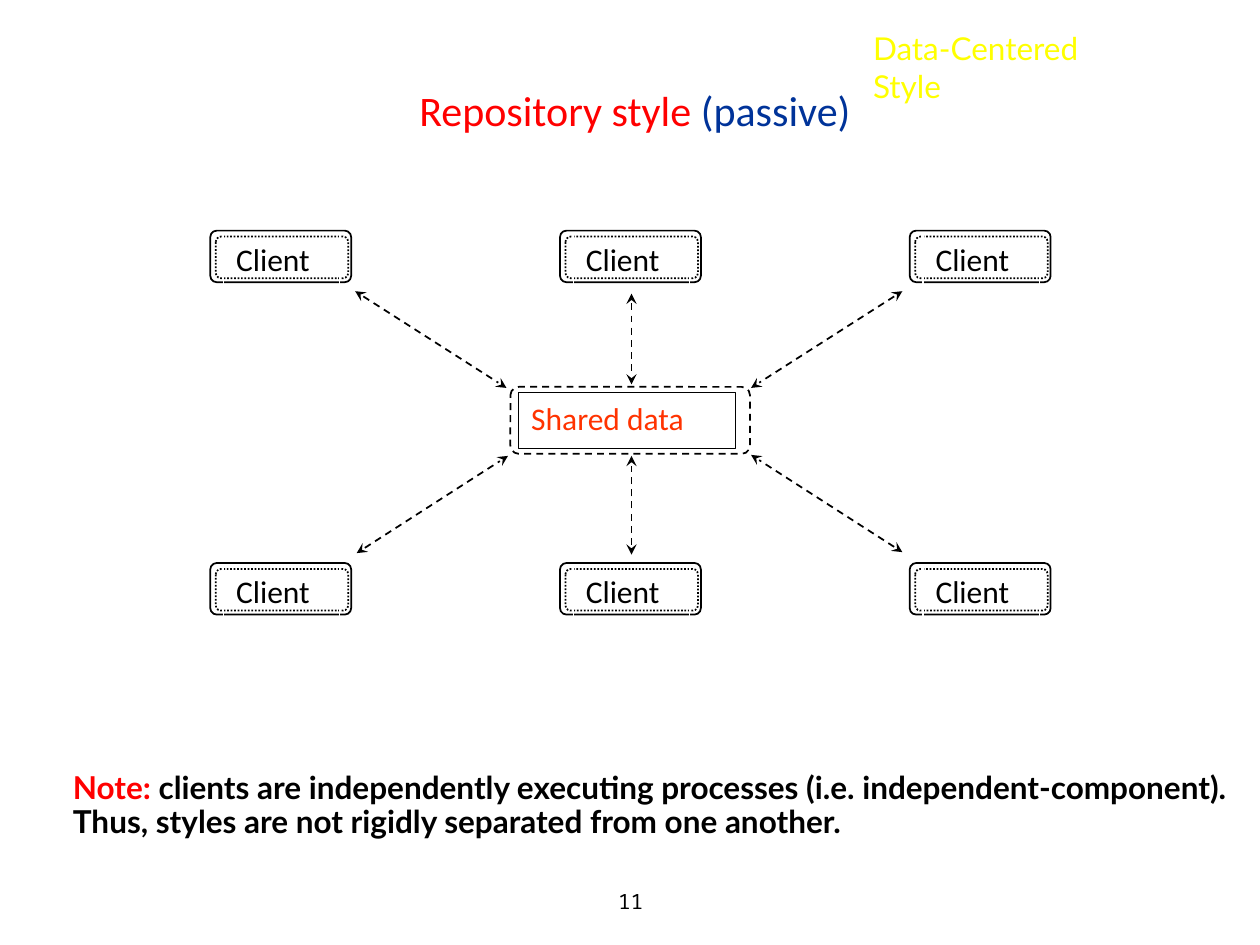
from itertools import product

from lxml import etree
from pptx import Presentation
from pptx import util as u
from pptx.dml.color import RGBColor
from pptx.enum import dml, shapes, text
from pptx.oxml.ns import qn

BLACK, WHITE, RED = "000000", "FFFFFF", "FF0000"
ROUND = shapes.MSO_SHAPE.ROUNDED_RECTANGLE
RECT = shapes.MSO_SHAPE.RECTANGLE
DASH, DOT = dml.MSO_LINE.DASH, dml.MSO_LINE.ROUND_DOT

# All positions and sizes are in centimetres: left, top, width, height
TITLE = [("Repository style ", RED), ("(passive)", "003399")]
TOPIC = [("Data-Centered Style", "FFFF00")]
NOTE = [
    ("Note: ", RED),
    ("clients are independently executing processes (i.e. independent-component). "
     "Thus, styles are not rigidly separated from one another.", BLACK),
]
CLIENT_LEFT, CLIENT_PITCH, CLIENT_COLUMNS = 4.24, 7.05, 3
CLIENT_TOPS = [4.65, 11.35]
ARROWS = [
    ((7.16, 5.87), (10.21, 7.82)),
    ((12.73, 5.92), (12.73, 7.75)),
    ((18.19, 5.87), (15.14, 7.82)),
    ((7.19, 11.15), (10.24, 9.19)),
    ((12.73, 11.18), (12.73, 9.19)),
    ((18.19, 11.13), (15.14, 9.17)),
]

deck = Presentation()
deck.slide_width, deck.slide_height = u.Cm(25.4), u.Cm(19.05)
page = deck.slides.add_slide(deck.slide_layouts[6])


def color(value):
    return RGBColor.from_string(value)


def write(box, spans, size=18, font="Calibri", bold=False, spacing=None,
          align=text.PP_ALIGN.LEFT, anchor=text.MSO_ANCHOR.TOP, margins=(0.25, 0.13)):
    """Fill a shape with one paragraph of (text, colour) spans."""
    frame = box.text_frame
    frame.word_wrap = True
    frame.vertical_anchor = anchor
    frame.margin_left = frame.margin_right = u.Cm(margins[0])
    frame.margin_top = frame.margin_bottom = u.Cm(margins[1])
    para = frame.paragraphs[0]
    para.alignment = align
    if spacing:
        para.line_spacing = spacing
    for words, ink in spans:
        span = para.add_run()
        span.text = words
        span.font.size, span.font.name, span.font.bold = u.Pt(size), font, bold
        span.font.color.rgb = color(ink)


def add_text(area, spans, **style):
    write(page.shapes.add_textbox(*map(u.Cm, area)), spans, **style)


def add_outline(kind, area, ink=BLACK, width=1, dash=None):
    box = page.shapes.add_shape(kind, *map(u.Cm, area))
    box.shadow.inherit = False
    box.fill.background()
    box.line.color.rgb = color(ink)
    box.line.width = u.Pt(width)
    if dash:
        box.line.dash_style = dash
    if kind == ROUND:
        box.adjustments[0] = 0.125
    return box


def add_client(left, top):
    add_outline(ROUND, (left, top, 2.84, 1.04))
    add_outline(ROUND, (left + 0.11, top + 0.12, 2.67, 0.84), dash=DOT)
    label = add_outline(RECT, (left + 0.27, top + 0.05, 2.34, 1.12), WHITE, 0.75)
    write(label, [("Client", BLACK)])


def add_two_way_arrow(start, end):
    arrow = page.shapes.add_connector(
        shapes.MSO_CONNECTOR.STRAIGHT, *map(u.Cm, start + end))
    arrow.line.color.rgb = color(BLACK)
    arrow.line.width = u.Pt(1)
    arrow.line.dash_style = DASH
    outline = arrow.line._get_or_add_ln()
    for tip in ("a:headEnd", "a:tailEnd"):
        etree.SubElement(outline, qn(tip), type="stealth")
    etree.SubElement(arrow._element.spPr, qn("a:effectLst"))


add_text((8.69, 17.65, 8.05, 1.02), [("11", BLACK)], size=12, font="Noto Sans Mono",
         align=text.PP_ALIGN.CENTER, anchor=text.MSO_ANCHOR.MIDDLE)
add_text((1.27, 1.7, 23.06, 2.34), TITLE, size=24,
         align=text.PP_ALIGN.CENTER, margins=(0, 0))

for top, column in product(CLIENT_TOPS, range(CLIENT_COLUMNS)):
    add_client(CLIENT_LEFT + column * CLIENT_PITCH, top)

add_outline(ROUND, (10.29, 7.8, 4.83, 1.35), dash=DASH)
shared = add_outline(RECT, (10.46, 7.92, 4.37, 1.12), width=0.75)
write(shared, [("Shared data", "FF3300")])

for start, end in ARROWS:
    add_two_way_arrow(start, end)

add_text((1.22, 15.44, 24.18, 1.63), NOTE, font="Lato", bold=True, spacing=0.9)
add_text((17.35, 0.46, 5.5, 1.02), TOPIC, font="Lato")

deck.save("out.pptx")
